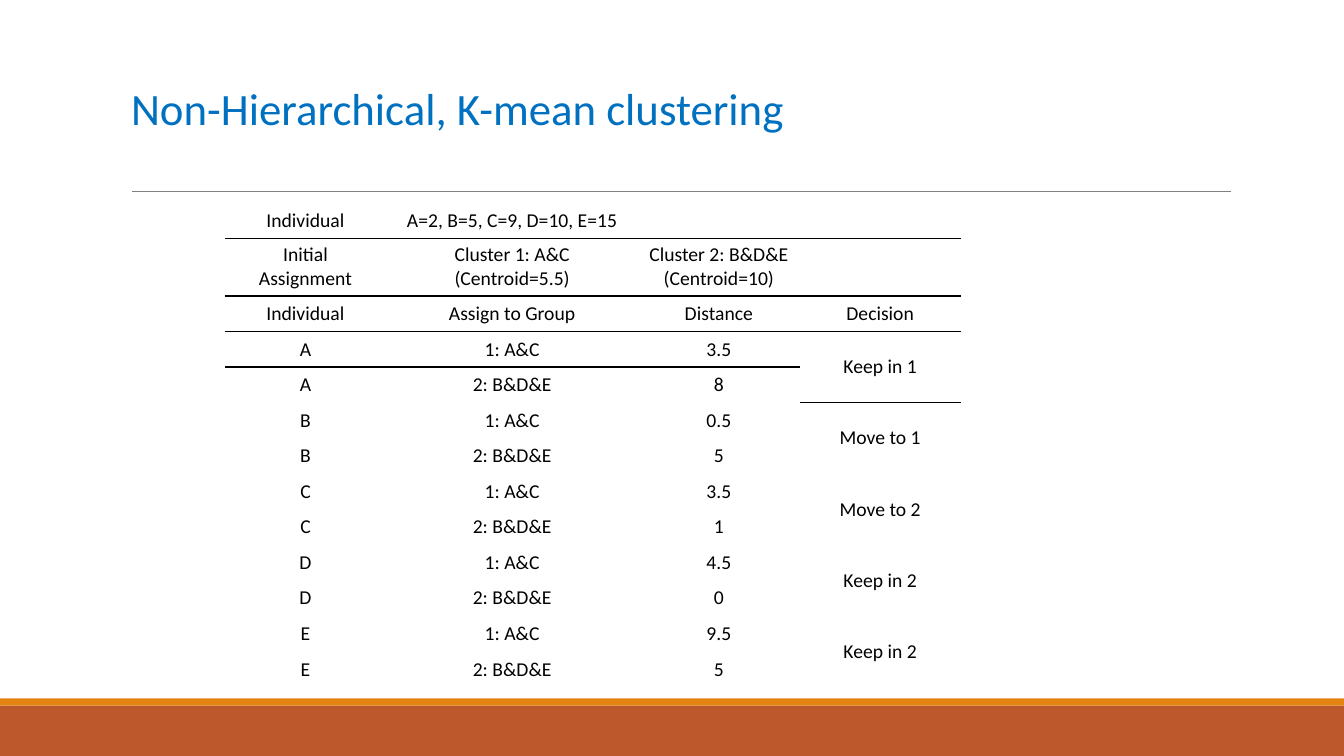
from dataclasses import dataclass

from lxml.etree import SubElement
from pptx import Presentation
from pptx.dml.color import RGBColor
from pptx.enum.shapes import MSO_CONNECTOR, MSO_SHAPE
from pptx.enum.text import MSO_ANCHOR, PP_ALIGN
from pptx.oxml.ns import qn
from pptx.util import Inches, Pt

TITLE = "Non-Hierarchical, K-mean clustering"
HEADINGS = [
    ("Individual", "A=2, B=5, C=9, D=10, E=15", "", ""),
    ("Initial Assignment", "Cluster 1: A&C (Centroid=5.5)",
     "Cluster 2: B&D&E\n(Centroid=10)", ""),
    ("Individual", "Assign to Group", "Distance", "Decision"),
]
GROUPS = ("1: A&C", "2: B&D&E")
# individual, distance to each group, decision
RESULTS = [
    ("A", ("3.5", "8"), "Keep in 1"),
    ("B", ("0.5", "5"), "Move to 1"),
    ("C", ("3.5", "1"), "Move to 2"),
    ("D", ("4.5", "0"), "Keep in 2"),
    ("E", ("9.5", "5"), "Keep in 2"),
]
COLUMN_WIDTHS = (1.6, 2.5, 1.6, 1.6)
BANDS = [(7, 0.5, "BD582C"), (6.93, 0.07, "E48312")]  # top, height, colour
SLIDE_WIDTH, SLIDE_HEIGHT = 13.33, 7.5
NO_STYLE = "{2D5ABB26-0587-4C30-8999-92F81FD0307C}"


@dataclass(frozen=True)
class Theme:
    font: str = "Calibri"
    title: str = "0070C0"
    text: str = "000000"
    rule: str = "808080"
    title_size: int = 32
    table_size: int = 14


THEME = Theme()


def set_font(paragraph, size, color):
    paragraph.font.name = THEME.font
    paragraph.font.size = Pt(size)
    paragraph.font.color.rgb = RGBColor.from_string(color)


def add_title(slide):
    title = slide.shapes.title
    title.left, title.top = Inches(1.2), Inches(0.31)
    title.width, title.height = Inches(11), Inches(1.59)
    title.text_frame.text = TITLE
    title.text_frame.vertical_anchor = MSO_ANCHOR.MIDDLE
    para = title.text_frame.paragraphs[0]
    para.alignment = PP_ALIGN.LEFT
    para.line_spacing = 0.85
    set_font(para, THEME.title_size, THEME.title)


def add_decoration(slide):
    for top, height, color in BANDS:
        band = slide.shapes.add_shape(
            MSO_SHAPE.RECTANGLE, 0, Inches(top), Inches(SLIDE_WIDTH), Inches(height))
        band.shadow.inherit = False
        band.fill.solid()
        band.fill.fore_color.rgb = RGBColor.from_string(color)
        band.line.fill.background()
    rule = slide.shapes.add_connector(
        MSO_CONNECTOR.STRAIGHT, Inches(1.31), Inches(1.9), Inches(12.21), Inches(1.9))
    rule.line.color.rgb = RGBColor.from_string(THEME.rule)
    rule.line.width = Pt(0.5)
    SubElement(rule._element.spPr, qn("a:effectLst"))


def add_border(cell, side):
    line = SubElement(cell._tc.get_or_add_tcPr(), qn(f"a:{side}"), w=str(Pt(1)))
    fill = SubElement(line, qn("a:solidFill"))
    SubElement(fill, qn("a:srgbClr"), val=THEME.text)


def fill_cell(cell, text, sides):
    cell.text = text
    cell.vertical_anchor = MSO_ANCHOR.MIDDLE
    for side in sides:
        add_border(cell, side)
    cell.fill.background()
    for para in cell.text_frame.paragraphs:
        para.alignment = PP_ALIGN.CENTER
        set_font(para, THEME.table_size, THEME.text)
        if not text:  # keeps an empty cell from stretching its row
            para._p.get_or_add_endParaRPr().set("sz", str(THEME.table_size * 100))


def add_cluster_table(slide):
    rows = list(HEADINGS)
    for individual, distances, decision in RESULTS:
        for group, distance, verdict in zip(GROUPS, distances, (decision, "")):
            rows.append((individual, group, distance, verdict))

    frame = slide.shapes.add_table(
        len(rows), len(COLUMN_WIDTHS), Inches(2.23), Inches(2.01),
        Inches(sum(COLUMN_WIDTHS)), Inches(4.59))
    table = frame.table
    table.first_row = table.horz_banding = False
    table._tbl.tblPr.find(qn("a:tableStyleId")).text = NO_STYLE
    for column, width in zip(table.columns, COLUMN_WIDTHS):
        column.width = Inches(width)

    heading_count = len(HEADINGS)
    for r, row in enumerate(rows):
        sides = []
        if 0 < r <= heading_count:
            sides.append("lnT")
        if r < heading_count:
            sides.append("lnB")
        for c, text in enumerate(row):
            fill_cell(table.cell(r, c), text, sides)
    for r in range(heading_count, len(rows), len(GROUPS)):
        table.cell(r, 3).merge(table.cell(r + len(GROUPS) - 1, 3))


def main():
    deck = Presentation()
    deck.slide_width, deck.slide_height = Inches(SLIDE_WIDTH), Inches(SLIDE_HEIGHT)
    slide = deck.slides.add_slide(deck.slide_layouts[5])
    add_decoration(slide)
    add_title(slide)
    add_cluster_table(slide)
    deck.save("out.pptx")


if __name__ == "__main__":
    main()
